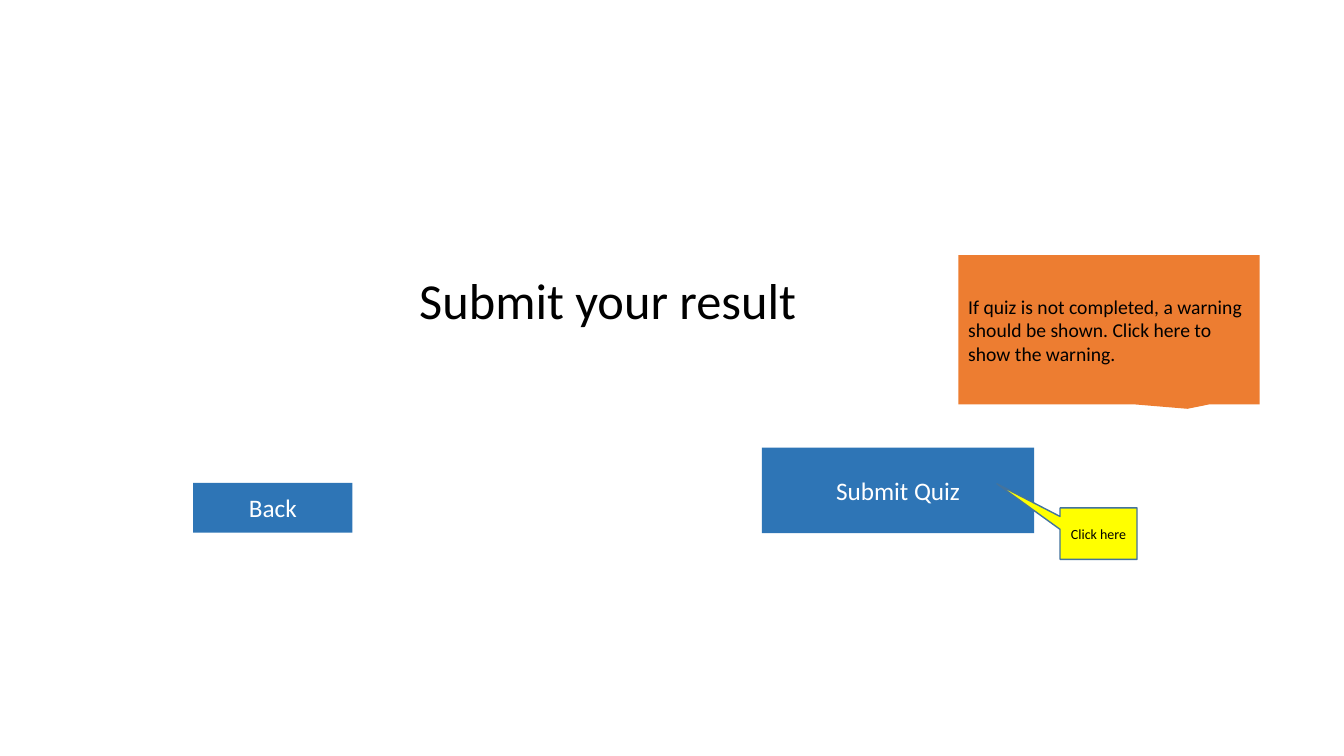
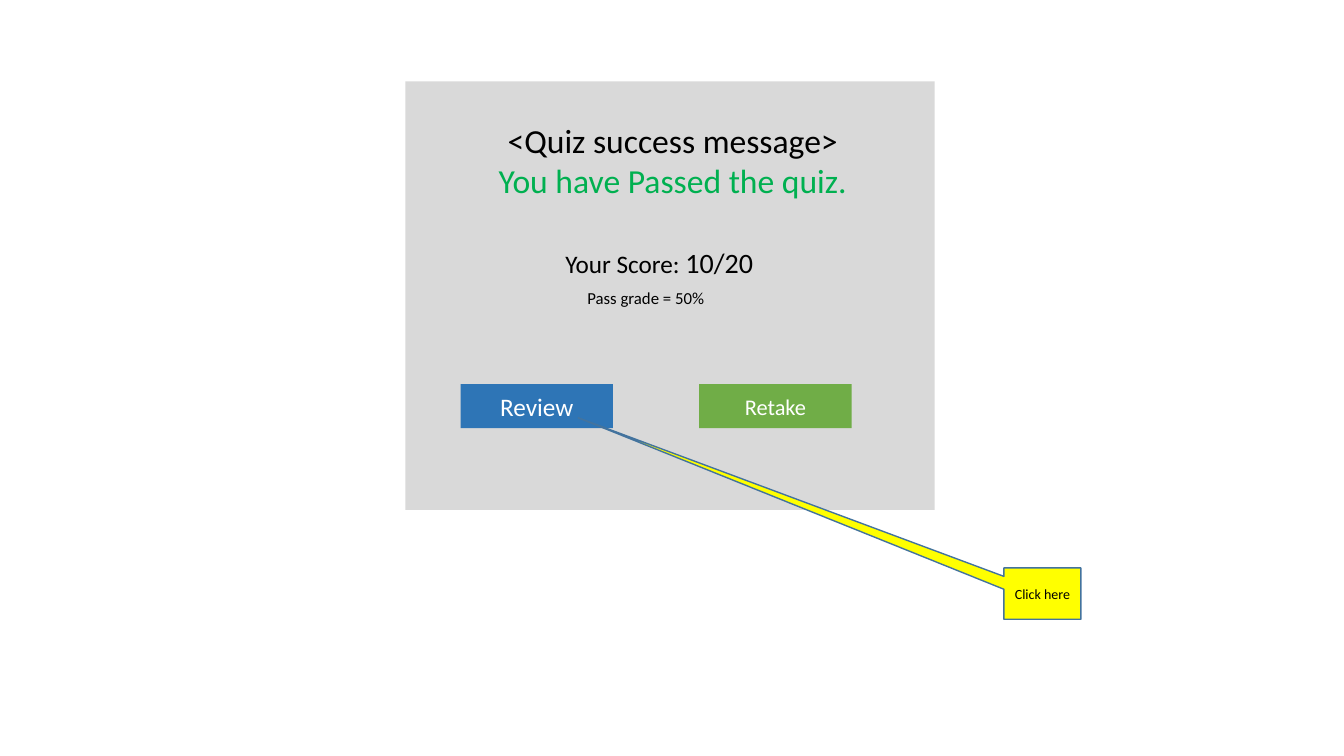
"""Build the quiz submission and quiz result slides."""
from dataclasses import dataclass

from pptx import Presentation
from pptx.dml.color import RGBColor as Color
from pptx.enum.shapes import MSO_SHAPE as Preset
from pptx.enum.text import MSO_ANCHOR as Anchor, MSO_AUTO_SIZE as AutoSize, PP_ALIGN as Align
from pptx.util import Pt


@dataclass(frozen=True)
class Theme:
    """Colours, type sizes and shared measures."""
    font: str = "Calibri"
    ink: str = "000000"
    paper: str = "FFFFFF"
    blue: str = "2E75B6"
    green: str = "70AD47"
    passed: str = "00B050"
    orange: str = "ED7D31"
    yellow: str = "FFFF00"
    outline: str = "43739E"
    panel: str = "D9D9D9"
    title: int = 36
    message: int = 24
    score: int = 20
    body: int = 18
    button: int = 16
    note: int = 14
    caption: int = 12
    hint: int = 10
    hint_size: tuple = (55, 36.7)


class QuizDeck:
    """Hold the style and the current slide."""

    def __init__(self, theme):
        """Open a wide deck."""
        self.theme = theme
        self.deck = Presentation()
        self.deck.slide_width, self.deck.slide_height = Pt(960), Pt(540)
        self.slide = None

    def add_slide(self):
        """Start a blank slide."""
        self.slide = self.deck.slides.add_slide(self.deck.slide_layouts[6])

    def add_runs(self, box, runs, align):
        """Add (text, size, colour) runs to the first paragraph."""
        box.text_frame.word_wrap = True
        para = box.text_frame.paragraphs[0]
        para.alignment = align
        for text, size, colour in runs:
            span = para.add_run()
            span.text = text
            span.font.name = self.theme.font
            span.font.size = Pt(size)
            span.font.color.rgb = Color.from_string(colour)

    def text(self, place, runs, align=Align.CENTER, wrap=True):
        """Add a text box that grows with its text."""
        box = self.slide.shapes.add_textbox(*map(Pt, place))
        self.add_runs(box, runs, align)
        box.text_frame.word_wrap = wrap
        box.text_frame.auto_size = AutoSize.SHAPE_TO_FIT_TEXT

    def block(self, place, fill, runs=(), align=Align.CENTER, preset=Preset.RECTANGLE):
        """Add a filled shape without outline."""
        box = self.slide.shapes.add_shape(preset, *map(Pt, place))
        box.shadow.inherit = False
        box.fill.solid()
        box.fill.fore_color.rgb = Color.from_string(fill)
        box.line.fill.background()
        box.text_frame.vertical_anchor = Anchor.MIDDLE
        self.add_runs(box, runs, align)
        return box

    def button(self, place, label, fill, size):
        """Add a button with a white label."""
        self.block(place, fill, [(label, size, self.theme.paper)])

    def callout(self, place, tip, fill, runs, align=Align.CENTER):
        """Add a callout whose tip is relative to its centre and size."""
        box = self.block(place, fill, runs, align, Preset.RECTANGULAR_CALLOUT)
        box.adjustments[0], box.adjustments[1] = tip
        return box

    def click_hint(self, left, top, tip):
        """Add the yellow pointer to a button."""
        theme = self.theme
        box = self.callout((left, top, *theme.hint_size), tip, theme.yellow,
                           [("Click here", theme.hint, theme.ink)])
        box.line.color.rgb = Color.from_string(theme.outline)
        box.line.width = Pt(1)


def add_submit_slide(quiz):
    """Add the slide for handing in the quiz."""
    theme = quiz.theme
    quiz.add_slide()
    quiz.button((544.3, 319.7, 194.4, 61.2), "Submit Quiz", theme.blue, theme.body)
    quiz.button((138, 345, 113.8, 35.5), "Back", theme.blue, theme.body)
    quiz.text((219.6, 188.6, 429.1, 51.1), [("Submit your result", theme.title, theme.ink)])
    warning = ("If quiz is not completed, a warning should be shown. "
               "Click here to show the warning.")
    quiz.callout((684.5, 182.2, 215.3, 106.6), (0.26, 0.53), theme.orange,
                 [(warning, theme.note, theme.ink)], Align.LEFT)
    quiz.click_hint(757.2, 362.8, (-1.32, -0.97))


def add_result_slide(quiz):
    """Add the slide that reports a passed quiz."""
    theme = quiz.theme
    quiz.add_slide()
    quiz.block((289.5, 58.2, 378.2, 306), theme.panel)
    quiz.text((396.7, 172, 150.5, 31.7),
              [("Your Score: ", theme.body, theme.ink), ("10/20", theme.score, theme.ink)],
              Align.LEFT, wrap=False)
    quiz.text((336.2, 82, 288.7, 65.5),
              [("<Quiz success message> ", theme.message, theme.ink),
               ("You have Passed the quiz.", theme.message, theme.passed)])
    for left, label, fill, size in (
        (499.5, "Retake", theme.green, theme.button),
        (329, "Review", theme.blue, theme.body),
    ):
        quiz.button((left, 274.3, 108.9, 31.5), label, fill, size)
    quiz.click_hint(717.1, 405.6, (-6.03, -3.42))
    quiz.text((412.4, 202.3, 99.4, 21.6),
              [("Pass grade = 50%", theme.caption, theme.ink)], Align.LEFT, wrap=False)


def main():
    """Build and save the deck."""
    quiz = QuizDeck(Theme())
    add_submit_slide(quiz)
    add_result_slide(quiz)
    quiz.deck.save("out.pptx")


if __name__ == "__main__":
    main()
